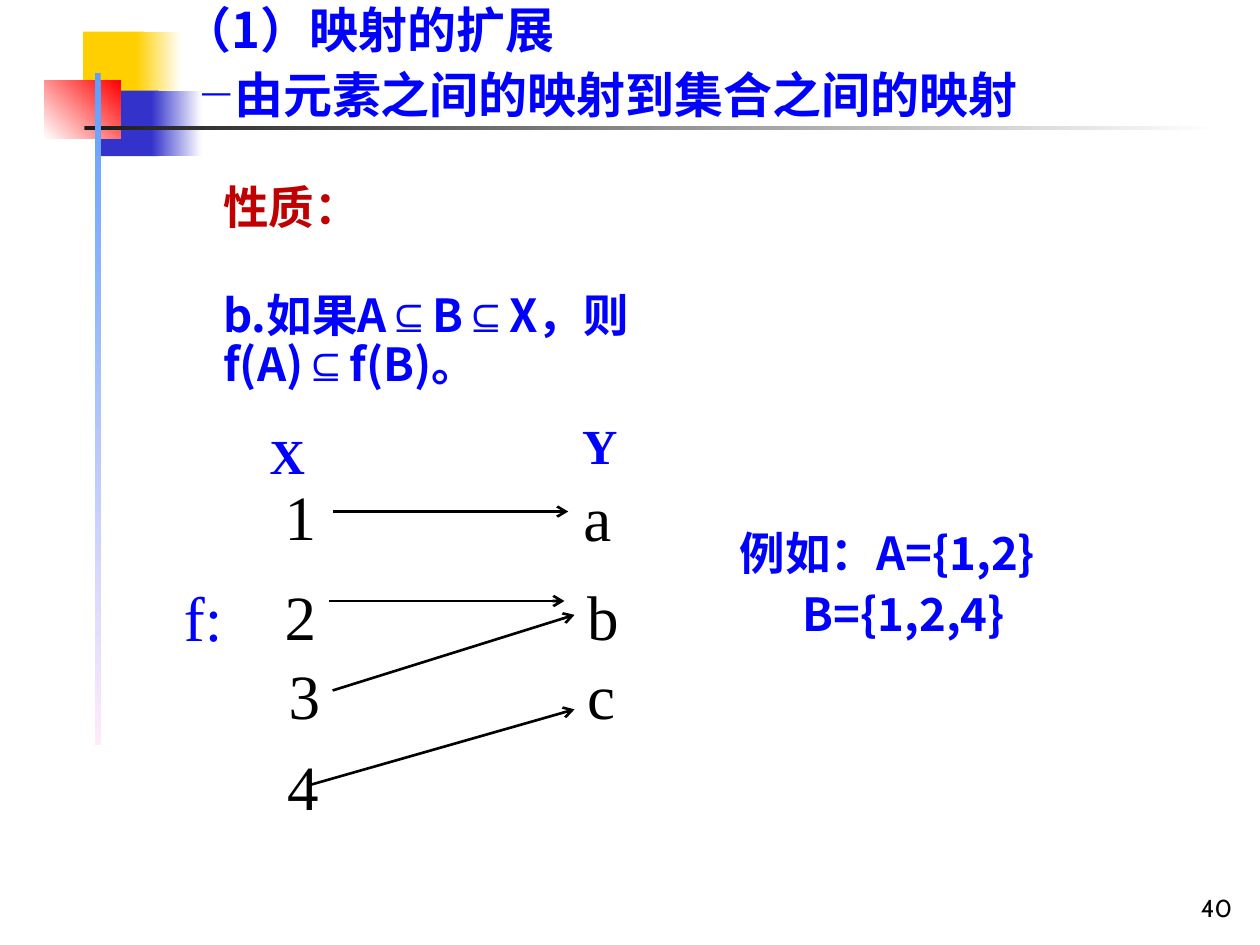
import lxml.etree
import pptx
import pptx.dml.color
import pptx.enum.shapes
import pptx.enum.text
import pptx.oxml.ns
import pptx.util

Inches = pptx.util.Inches
Align = pptx.enum.text.PP_ALIGN
Anchor = pptx.enum.text.MSO_ANCHOR

COLORS = {
    "blue": "0000FF", "crimson": "C00000", "black": "000000",
    "gold": "FFCF01", "indigo": "3333CC", "red": "FF0000",
    "white": "FFFFFF", "charcoal": "1C1C1C", "sky": "5E9EFF", "pink": "FFEBFA",
}
HAN, SERIF, SYMBOL = "Noto Sans CJK SC", "Times New Roman", "Arial"


def rgb(name):
    return pptx.dml.color.RGBColor.from_string(COLORS[name])


def child(parent, tag, **attributes):
    return lxml.etree.SubElement(parent, pptx.oxml.ns.qn(tag), **attributes)


def add_span(para, text, *, size, font=HAN, color="blue", bold=False):
    span = para.add_run()
    span.text = text
    span.font.size = pptx.util.Pt(size)
    span.font.bold = bold
    span.font.color.rgb = rgb(color)
    span.font.name = font
    child(span.font._element, "a:ea", typeface=font)


class Page:
    def __init__(self, deck):
        self.slide = deck.slides.add_slide(deck.slide_layouts[1])
        self.shapes = self.slide.shapes

    def bar(self, at, start, end=None, angle=0):
        """Draw a rectangle, shaded counter-clockwise by angle if end is given."""
        shape = self.shapes.add_shape(
            pptx.enum.shapes.MSO_SHAPE.RECTANGLE, *map(Inches, at))
        shape.shadow.inherit = False
        shape.line.fill.background()
        if end is None:
            shape.fill.solid()
            shape.fill.fore_color.rgb = rgb(start)
            return
        shape.fill.gradient()
        shape.fill.gradient_angle = angle
        for stop, name in zip(shape.fill.gradient_stops, (start, end)):
            stop.color.rgb = rgb(name)

    def text(self, at, lines, *, box=None, indents=(0,), align=Align.LEFT,
             anchor=Anchor.TOP, spacing=0.9, before=0, **style):
        """Fill a box; each line is a list of (text, font) pairs or a string."""
        if box is None:
            box = self.shapes.add_textbox(0, 0, 0, 0)
        box.left, box.top, box.width, box.height = map(Inches, at)
        frame = box.text_frame
        frame.word_wrap = True
        frame.auto_size = pptx.enum.text.MSO_AUTO_SIZE.NONE
        frame.vertical_anchor = anchor
        frame.margin_left = frame.margin_right = 0
        frame.margin_top = frame.margin_bottom = 0
        for index, (line, indent) in enumerate(zip(lines, indents)):
            para = frame.add_paragraph() if index else frame.paragraphs[0]
            properties = para._p.get_or_add_pPr()
            properties.set("marL", str(Inches(indent)))
            properties.set("indent", "0")
            child(properties, "a:buNone")
            para.alignment = align
            para.line_spacing = spacing
            para.space_before = pptx.util.Pt(before if index else 0)
            if isinstance(line, str):
                add_span(para, line, **style)
            else:
                for words, font in line:
                    add_span(para, words, font=font, **style)

    def arrow(self, start, end):
        line = self.shapes.add_connector(
            pptx.enum.shapes.MSO_CONNECTOR.STRAIGHT, *map(Inches, start + end))
        line.line.color.rgb = rgb("black")
        line.line.width = pptx.util.Pt(1.5)
        child(line.line._get_or_add_ln(), "a:tailEnd", type="arrow")
        child(line._element.spPr, "a:effectLst")


def draw_ornament(page):
    page.bar((0.66, 0.25, 0.48, 0.52), "gold")
    page.bar((1.08, 0.25, 0.36, 0.52), "gold", "white")
    page.bar((0.8, 0.72, 0.46, 0.52), "indigo")
    page.bar((1.2, 0.72, 0.4, 0.52), "indigo", "white")
    page.bar((0.35, 0.64, 0.61, 0.46), "white", "red", 45)
    page.bar((0.67, 1, 9, 0.03), "charcoal", "white")
    page.bar((0.75, 0.58, 0.05, 5.33), "sky", "pink", 270)


def draw_mapping(page):
    elements = [
        ("1", 2.26, 3.79), ("2", 2.26, 4.58), ("3", 2.29, 5.21), ("4", 2.28, 5.93),
        ("a", 4.63, 3.8), ("b", 4.66, 4.58), ("c", 4.66, 5.21),
    ]
    for name, left, top in elements:
        page.text((left, top, 0.3, 0.6), [name], spacing=1,
                  size=36, font=SERIF, color="black")
    for name, left, top in [("X", 2.14, 3.43), ("Y", 4.62, 3.35)]:
        page.text((left, top, 0.42, 0.42), [name], size=28, font=SERIF, bold=True)
    page.text((1.46, 4.66, 0.42, 0.54), ["f:"], size=36, font=SERIF)
    for start, end in [
        ((2.64, 4.06), (4.51, 4.06)), ((2.61, 4.77), (4.48, 4.77)),
        ((2.64, 5.48), (4.56, 4.88)), ((2.46, 6.23), (4.56, 5.63)),
    ]:
        page.arrow(start, end)


def main():
    deck = pptx.Presentation()
    deck.slide_width, deck.slide_height = Inches(10), Inches(7.5)
    page = Page(deck)
    draw_ornament(page)
    page.text((0.67, 0.05, 8.66, 0.94),
              ["（1）映射的扩展", "—由元素之间的映射到集合之间的映射"],
              box=page.shapes.title, indents=(0.78, 0.8), before=7,
              size=28, bold=True)
    page.text((1.77, 1.47, 1.18, 0.39), ["性质："],
              size=26, color="crimson", bold=True)
    subset = ("⊆", SYMBOL)
    page.text((1.77, 2.33, 5.04, 0.78),
              [[("b.如果A", HAN), subset, ("B", HAN), subset,
                ("X，则f(A)", HAN), subset, ("f(B)。", HAN)]],
              box=page.slide.placeholders[1], size=26, bold=True)
    draw_mapping(page)
    page.text((5.87, 4.22, 3.07, 0.87), ["例如：A={1,2}", "B={1,2,4}"],
              indents=(0, 0.5), before=6.5, size=26, bold=True)
    page.text((7.8, 6.87, 1.98, 0.45), ["40"], align=Align.RIGHT,
              anchor=Anchor.BOTTOM, spacing=1, size=14, font="Cabin", color="black")
    deck.save("out.pptx")


if __name__ == "__main__":
    main()
